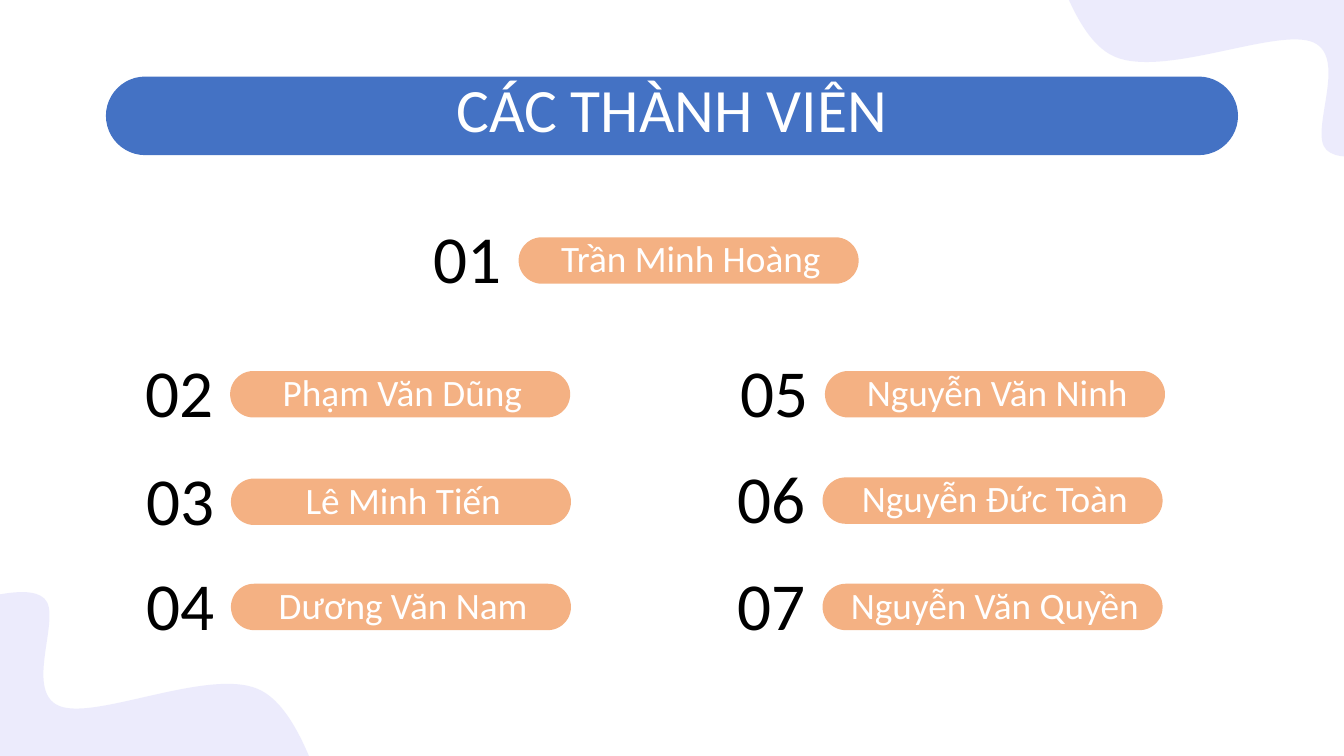
import math

from lxml import etree
from pptx import Presentation
from pptx.dml.color import RGBColor
from pptx.enum import shapes, text
from pptx.oxml import ns
from pptx.util import Cm, Pt

# Content: name, left and top of its pill in cm
TITLE = "CÁC THÀNH VIÊN"
MEMBERS = [
    ("Trần Minh Hoàng", 13.07, 5.98),
    ("Phạm Văn Dũng", 5.8, 9.35),
    ("Lê Minh Tiến", 5.82, 12.06),
    ("Dương Văn Nam", 5.82, 14.71),
    ("Nguyễn Văn Ninh", 20.79, 9.35),
    ("Nguyễn Đức Toàn", 20.73, 12.03),
    ("Nguyễn Văn Quyền", 20.73, 14.71),
]

# Corner wave: start point, then two control points and an end point per curve (cm)
WAVE_START = (25.93, -3.05)
WAVE_CURVES = [
    ((26.24, -2.31), (26.77, 0.69), (27.97, 1.37)),
    ((29.16, 2.06), (32.18, 0.66), (33.1, 1.07)),
    ((33.99, 1.47), (32.97, 3.35), (33.43, 3.78)),
    ((33.88, 4.22), (35.38, 3.66), (35.81, 3.66)),
    ((36.25, 3.66), (35.86, 4.32), (36.02, 3.78)),
    ((36.17, 3.28), (36.65, 1.17), (36.75, 0.58)),
    ((36.86, 0.03), (38.38, 0.97), (36.6, 0.36)),
    ((34.82, -0.25), (27.91, -2.44), (26.14, -3)),
    ((24.36, -3.58), (25.63, -3.76), (25.93, -3.05)),
]
TOP_CENTRE = (30.67, 0.58)
BOTTOM_CENTRE = (3.92, 18.24)
TOP_TILT = 17.7
BOTTOM_TILT = 196.9

FONT = "Calibri"
BLUE = RGBColor(0x44, 0x72, 0xC4)
ORANGE = RGBColor(0xF4, 0xB1, 0x83)
LAVENDER = RGBColor(0xC8, 0xC4, 0xF7)
WHITE = RGBColor(0xFF, 0xFF, 0xFF)
BLACK = RGBColor(0, 0, 0)


def paint(shape, color):
    shape.shadow.inherit = False
    shape.fill.solid()
    shape.fill.fore_color.rgb = color
    shape.line.fill.background()


def add_pill(slide, left, top, width, height, color):
    pill = slide.shapes.add_shape(
        shapes.MSO_SHAPE.ROUNDED_RECTANGLE, Cm(left), Cm(top), Cm(width), Cm(height))
    pill.adjustments[0] = 0.5
    paint(pill, color)


def write(shape, words, size, color, anchor):
    frame = shape.text_frame
    frame.word_wrap = True
    frame.auto_size = text.MSO_AUTO_SIZE.NONE
    frame.vertical_anchor = anchor
    frame.margin_left = frame.margin_right = Cm(0.34)
    frame.margin_top = frame.margin_bottom = Cm(0.34)
    paragraph = frame.paragraphs[0]
    paragraph.alignment = text.PP_ALIGN.CENTER
    paragraph.line_spacing = 0.9
    run = paragraph.add_run()
    run.text = words
    run.font.name = FONT
    run.font.size = Pt(size)
    run.font.color.rgb = color


def add_label(slide, left, top, width, height, words, size, color):
    box = slide.shapes.add_textbox(Cm(left), Cm(top), Cm(width), Cm(height))
    write(box, words, size, color, text.MSO_ANCHOR.BOTTOM)


def turn(x, y, degrees):
    cos, sin = math.cos(math.radians(degrees)), math.sin(math.radians(degrees))
    return x * cos - y * sin, x * sin + y * cos


def add_wave(slide, centre, tilt):
    """Draw the level wave about its centre, then tilt it and place it."""
    outline = [WAVE_START] + [point for curve in WAVE_CURVES for point in curve]
    level = [turn(x - TOP_CENTRE[0], y - TOP_CENTRE[1], -TOP_TILT) for x, y in outline]
    points = [(Cm(x), Cm(y)) for x, y in level]
    builder = slide.shapes.build_freeform(*points[0])
    builder.add_line_segments(points[1:], close=True)
    wave = builder.convert_to_shape()

    # Join every three segments into one Bézier curve
    outline_path = wave.element.spPr.find(".//" + ns.qn("a:path"))
    segments = outline_path.findall(ns.qn("a:lnTo"))
    for index in range(0, 3 * len(WAVE_CURVES), 3):
        curve = etree.Element(ns.qn("a:cubicBezTo"))
        segments[index].addprevious(curve)
        for segment in segments[index:index + 3]:
            curve.append(segment[0])
            outline_path.remove(segment)

    # The frame's middle turns with the wave
    offset_x, offset_y = turn(wave.left + wave.width / 2, wave.top + wave.height / 2, tilt)
    wave.left = int(Cm(centre[0]) + offset_x - wave.width / 2)
    wave.top = int(Cm(centre[1]) + offset_y - wave.height / 2)
    wave.rotation = tilt
    paint(wave, LAVENDER)
    color = wave.element.spPr.find(".//" + ns.qn("a:srgbClr"))
    etree.SubElement(color, ns.qn("a:alpha"), val="33000")


def main():
    presentation = Presentation()
    presentation.slide_width, presentation.slide_height = Cm(33.87), Cm(19.05)
    slide = presentation.slides.add_slide(presentation.slide_layouts[5])

    # Title bar and corner waves
    add_pill(slide, 2.67, 1.93, 28.53, 1.98, BLUE)
    add_wave(slide, TOP_CENTRE, TOP_TILT)
    add_wave(slide, BOTTOM_CENTRE, BOTTOM_TILT)

    # Title, brought in front of its bar
    title = slide.shapes.title
    title.left, title.top, title.width, title.height = Cm(2.67), Cm(1.66), Cm(28.53), Cm(2.13)
    write(title, TITLE, 44, WHITE, text.MSO_ANCHOR.TOP)
    title.element.getparent().append(title.element)

    # Numbered members
    for number, (name, left, top) in enumerate(MEMBERS, 1):
        add_pill(slide, left, top, 8.57, 1.17, ORANGE)
        add_label(slide, left - 2.56, top - 0.51, 2.57, 2.39, f"{number:02}", 48, BLACK)
        add_label(slide, left + 0.06, top - 0.16, 8.57, 1.6, name, 26.67, WHITE)

    presentation.save("out.pptx")


if __name__ == "__main__":
    main()
